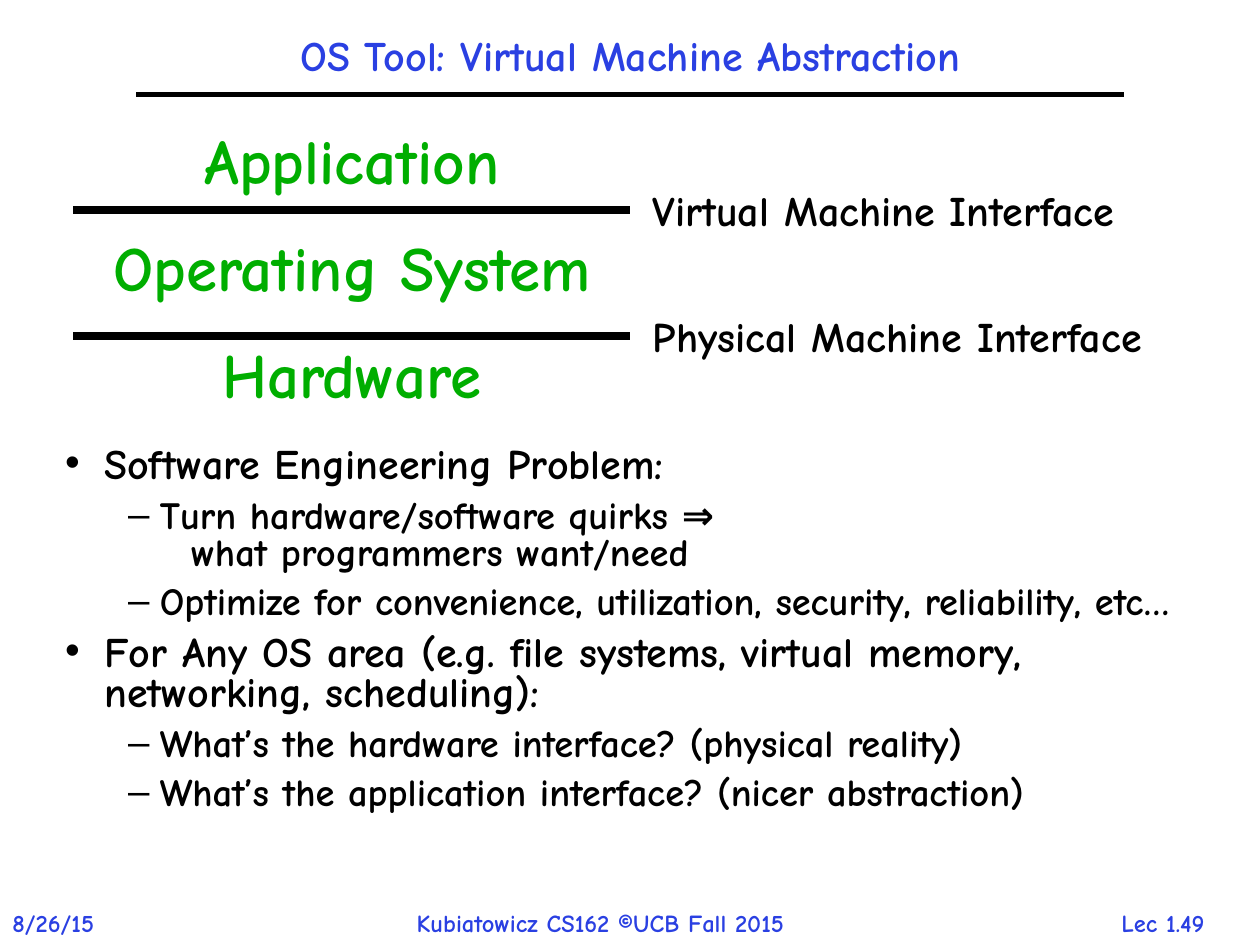
from copy import deepcopy
from lxml import etree
from pptx import Presentation, util as u
from pptx.dml.color import RGBColor
from pptx.enum import shapes, text
from pptx.oxml import ns

BLUE = RGBColor(0x2A, 0x40, 0xE2)
GREEN = RGBColor(0x00, 0xAE, 0x00)
BLACK = RGBColor(0x00, 0x00, 0x00)
FONT = "Comic Neue"
CENTER = text.PP_ALIGN.CENTER

TITLE = "OS Tool: Virtual Machine Abstraction"
LAYERS = ["Application", "Operating System", "Hardware"]
INTERFACES = [("Virtual Machine Interface", 11.3),
              ("Physical Machine Interface", 11.74)]
BULLETS = [
    (0, "Software Engineering Problem:"),
    (1, "Turn hardware/software quirks ⇒\v\twhat programmers want/need"),
    (1, "Optimize for convenience, utilization, security, reliability, etc…"),
    (0, "For Any OS area (e.g. file systems, virtual memory, networking, scheduling):"),
    (1, "What’s the hardware interface? (physical reality)"),
    (1, "What’s the application interface? (nicer abstraction)"),
]
LEVELS = [
    dict(size=24, bullet="•", margin=0.79, indent=-0.79),
    dict(size=22, bullet="–", margin=1.91, indent=-0.64),
]
FOOTER = [
    ("8/26/15", 0, 2.54, None),
    ("Kubiatowicz CS162 ©UCB Fall 2015", 8.15, 9.17, None),
    ("Lec 1.49", 21.92, 3.05, CENTER),
]


def write(p, content, size=24, color=BLACK, align=None, spacing=None,
          before=0, level=0, bullet=None, margin=0, indent=0):
    p.text = content
    p.level = level
    p.alignment = align
    p.line_spacing = spacing
    p.space_before = u.Pt(before)
    if bullet:
        pPr = p._p.get_or_add_pPr()
        pPr.set("marL", str(u.Cm(margin)))
        pPr.set("indent", str(u.Cm(indent)))
        pPr.set("defTabSz", str(u.Cm(2.54)))
        etree.SubElement(pPr, ns.qn("a:buChar")).set("char", bullet)
    for r in p.runs:
        r.font.name, r.font.size, r.font.bold = FONT, u.Pt(size), True
        r.font.color.rgb = color
    for br in p._p.findall(ns.qn("a:br")):
        br.append(deepcopy(p.runs[0]._r.rPr))


def place(sp, x, y, w, h):
    sp.left, sp.top, sp.width, sp.height = map(u.Cm, (x, y, w, h))
    sp.text_frame.auto_size = text.MSO_AUTO_SIZE.NONE
    return sp.text_frame


def add_box(s, x, y, w, h, wrap=False):
    tf = s.shapes.add_textbox(*map(u.Cm, (x, y, w, h))).text_frame
    tf.word_wrap = wrap
    tf.auto_size = text.MSO_AUTO_SIZE.SHAPE_TO_FIT_TEXT
    return tf


def add_rule(s, x1, x2, y, width):
    c = s.shapes.add_connector(shapes.MSO_CONNECTOR.STRAIGHT,
                               *map(u.Cm, (x1, y, x2, y)))
    c.line.color.rgb = BLACK
    c.line.width = u.Pt(width)
    etree.SubElement(c._element.spPr, ns.qn("a:effectLst"))


def add_paragraph(tf, i):
    return tf.add_paragraph() if i else tf.paragraphs[0]


def main():
    prs = Presentation()
    prs.slide_width, prs.slide_height = u.Cm(25.4), u.Cm(19.05)
    s = prs.slides.add_slide(prs.slide_layouts[1])

    tf = place(s.shapes.title, 2.75, 0.42, 19.9, 1.48)
    tf.vertical_anchor = text.MSO_ANCHOR.MIDDLE
    write(tf.paragraphs[0], TITLE, color=BLUE, align=CENTER, spacing=0.9)
    add_rule(s, 2.75, 22.65, 1.9, 3)

    tf = place(s.placeholders[1], 1.06, 8.89, 23.7, 8.68)
    for i, (level, content) in enumerate(BULLETS):
        write(add_paragraph(tf, i), content, level=level, spacing=0.8,
              before=7 if i else 0, **LEVELS[level])

    tf = add_box(s, 0.64, 2.33, 12.91, 6.35, wrap=True)
    for i, layer in enumerate(LAYERS):
        write(add_paragraph(tf, i), layer, size=36, color=GREEN,
              align=CENTER, before=18 if i else 0)

    for i, (label, w) in enumerate(INTERFACES):
        y = 4.23 + 2.54 * i
        add_rule(s, 1.48, 12.7, y, 4.5)
        write(add_box(s, 12.91, y - 0.63, w, 1.28).paragraphs[0], label)

    for content, x, w, align in FOOTER:
        write(add_box(s, x, 18.19, w, 0.86).paragraphs[0], content,
              size=14, color=BLUE, align=align)

    prs.save("out.pptx")


if __name__ == "__main__":
    main()
